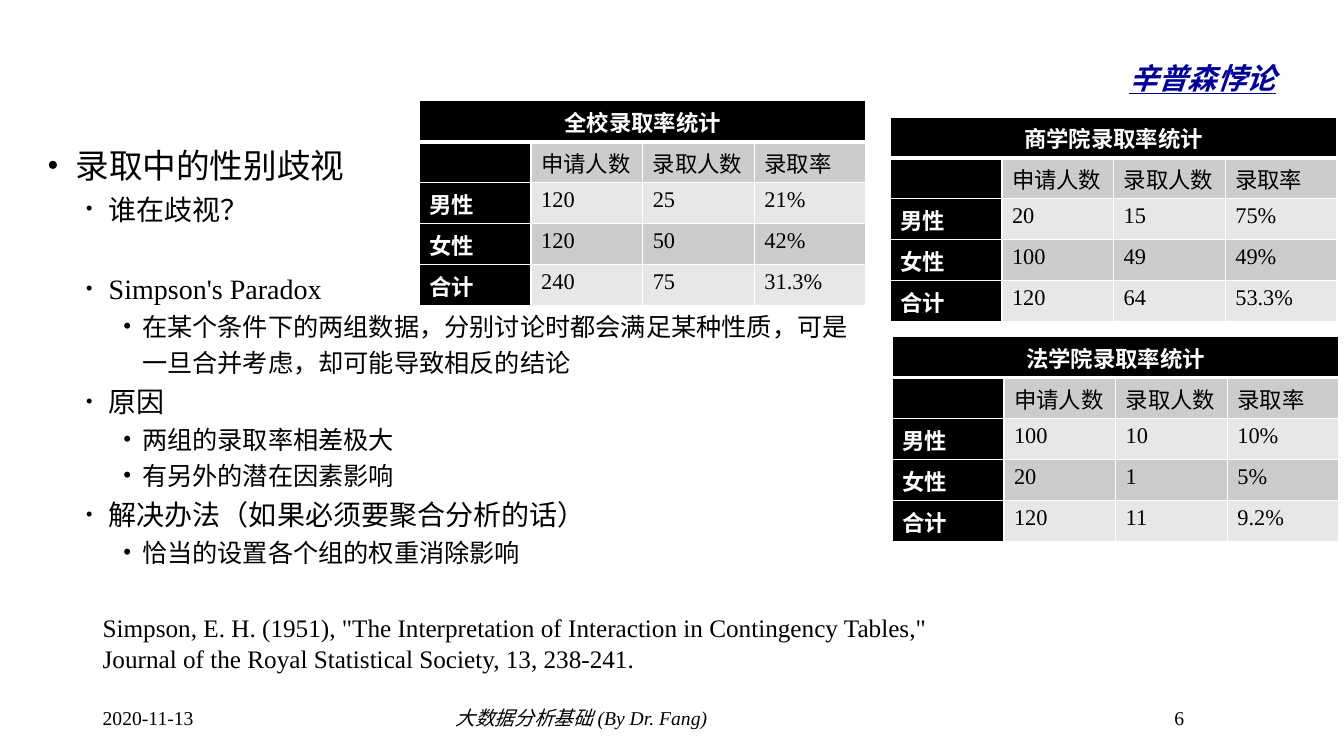
from lxml.etree import SubElement
from pptx import Presentation
from pptx.dml.color import RGBColor
from pptx.enum.text import MSO_ANCHOR, PP_ALIGN
from pptx.oxml.ns import qn
from pptx.util import Inches, Pt

FONT = "Times New Roman"
HEADS = ["", "申请人数", "录取人数", "录取率"]
LEVELS = [
    {"size": 24, "left": 0.28, "hang": 0.28, "scale": 100},
    {"size": 20, "left": 0.61, "hang": 0.23, "scale": 75},
    {"size": 18, "left": 0.94, "hang": 0.19, "scale": 100},
]
POINTS = [
    (0, "录取中的性别歧视", 0),
    (1, "谁在歧视？", 0),
    (1, "Simpson's Paradox", 28),
    (2, "在某个条件下的两组数据，分别讨论时都会满足某种性质，可是一旦合并考虑，却可能导致相反的结论", 0),
    (1, "原因", 0),
    (2, "两组的录取率相差极大", 0),
    (2, "有另外的潜在因素影响", 0),
    (1, "解决办法（如果必须要聚合分析的话）", 0),
    (2, "恰当的设置各个组的权重消除影响", 0),
]
TABLES = [
    ((4.16, 1), "全校录取率统计",
     [["男性", "120", "25", "21%"], ["女性", "120", "50", "42%"], ["合计", "240", "75", "31.3%"]]),
    ((8.83, 1.16), "商学院录取率统计",
     [["男性", "20", "15", "75%"], ["女性", "100", "49", "49%"], ["合计", "120", "64", "53.3%"]]),
    ((8.85, 3.34), "法学院录取率统计",
     [["男性", "100", "10", "10%"], ["女性", "20", "1", "5%"], ["合计", "120", "11", "9.2%"]]),
]
NOTES = [
    ((11.55, 6.95, 0.87, 0.4), "6", 14, {}),
    ((4.42, 6.95, 6.42, 0.4), "大数据分析基础 (By Dr. Fang)", 14, {"italic": True}),
    ((0.92, 6.95, 3, 0.4), "2020-11-13", 14, {}),
    ((0.92, 6.03, 8.9, 0.71),
     'Simpson, E. H. (1951), "The Interpretation of Interaction in Contingency Tables," '
     "Journal of the Royal Statistical Society, 13, 238-241.", 18, {}),
]


def paint(target, code):
    """Give a fill or font the colour of a hex string."""
    target.rgb = RGBColor.from_string(code)


def write(para, text, size, color="000000", **style):
    """Add a styled run to a paragraph and return it."""
    run = para.add_run()
    run.text = text
    for key, value in {"name": FONT, "size": Pt(size), **style}.items():
        setattr(run.font, key, value)
    paint(run.font.color, color)
    return run


def frame(slide, box):
    """Add a wrapping text box and return its text frame."""
    area = slide.shapes.add_textbox(*map(Inches, box)).text_frame
    area.word_wrap = True
    return area


def title(slide, box):
    """Place the lowered, underlined title at the right of its box."""
    area = frame(slide, box)
    area.vertical_anchor = MSO_ANCHOR.MIDDLE
    para = area.paragraphs[0]
    para.alignment = PP_ALIGN.RIGHT
    run = write(para, "辛普森悖论", 36, "000099", bold=True, italic=True, underline=True)
    run.font._element.set("baseline", "-25000")


def outline(slide, box):
    """Place the bulleted outline in its box."""
    area = frame(slide, box)
    for index, (depth, text, gap) in enumerate(POINTS):
        para = area.add_paragraph() if index else area.paragraphs[0]
        level = LEVELS[depth]
        para.level = depth
        para.line_spacing = 1.2
        para.space_before = Pt(gap)
        props = para._p.get_or_add_pPr()
        props.set("marL", str(Inches(level["left"])))
        props.set("indent", str(-Inches(level["hang"])))
        SubElement(props, qn("a:buSzPct"), val=str(level["scale"] * 1000))
        SubElement(props, qn("a:buFont"), typeface=FONT)
        SubElement(props, qn("a:buChar"), char="•")
        write(para, text, level["size"])


def border(cell, row):
    """Draw white cell edges, thick below the header row."""
    props = cell._tc.get_or_add_tcPr()
    thick = {("B", 0), ("T", 1)}
    for side in "LRTB":
        width = Pt(3 if (side, row) in thick else 1)
        line = SubElement(props, qn("a:ln" + side), w=str(width))
        fill = SubElement(line, qn("a:solidFill"))
        SubElement(fill, qn("a:srgbClr"), val="FFFFFF")


def rates(slide, spot, name, rows):
    """Place an admission table with its top left corner at the spot."""
    grid = [[name, "", "", ""], HEADS, *rows]
    size = (4.43, 2.03)
    table = slide.shapes.add_table(5, 4, *map(Inches, spot + size)).table
    for row, texts in enumerate(grid):
        for col, text in enumerate(texts):
            cell = table.cell(row, col)
            dark = row == 0 or col == 0
            border(cell, row)
            cell.fill.solid()
            paint(cell.fill.fore_color, "000000" if dark else "CCCCCC" if row % 2 else "E7E7E7")
            if text:
                ink = "FFFFFF" if dark else "000000"
                write(cell.text_frame.paragraphs[0], text, 16, ink, bold=dark)
    table.cell(0, 0).merge(table.cell(0, 3))
    table.cell(0, 0).text_frame.paragraphs[0].alignment = PP_ALIGN.CENTER


def main():
    """Build and save the slide."""
    deck = Presentation()
    deck.slide_width, deck.slide_height = Inches(13.33), Inches(7.5)
    slide = deck.slides.add_slide(deck.slide_layouts[6])
    title(slide, (1.94, 0.05, 10.81, 1.1))
    outline(slide, (0.37, 1.31, 8.38, 5.59))
    for spot, name, rows in TABLES:
        rates(slide, spot, name, rows)
    for box, text, size, style in NOTES:
        write(frame(slide, box).paragraphs[0], text, size, **style)
    deck.save("out.pptx")


if __name__ == "__main__":
    main()
